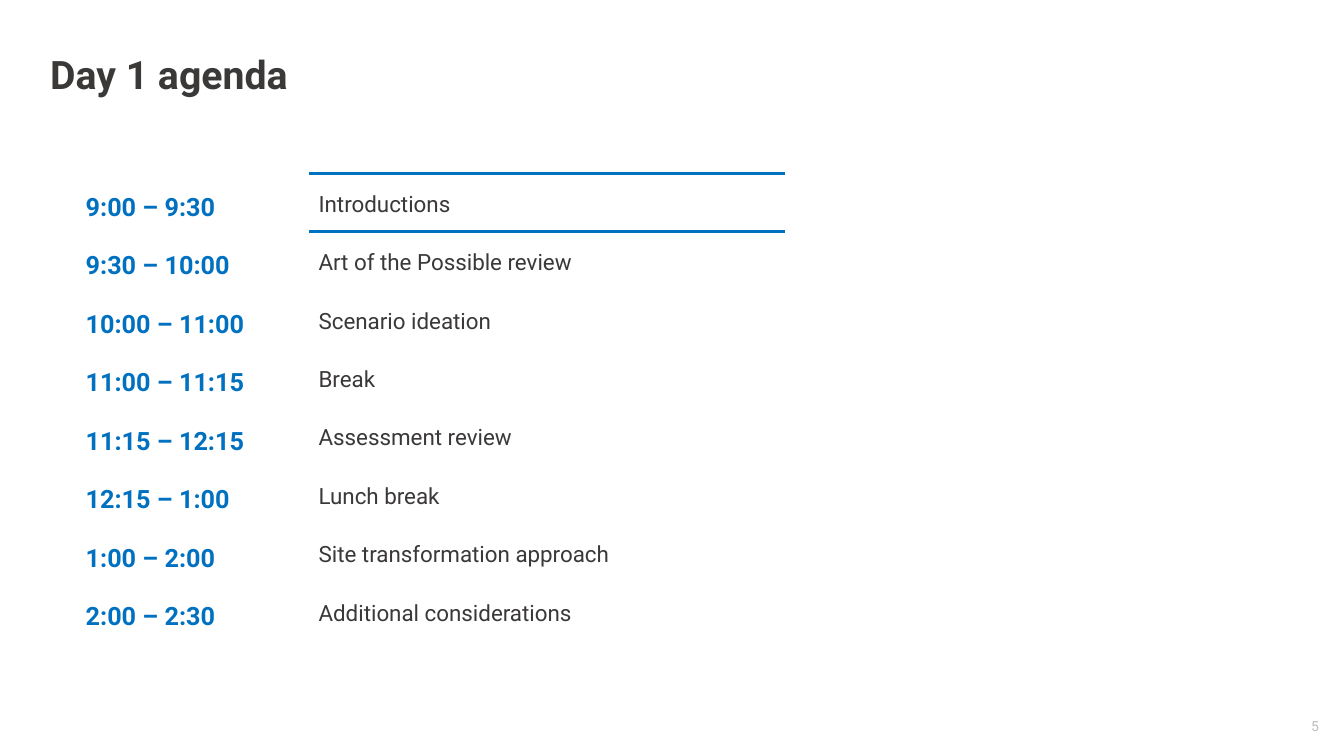
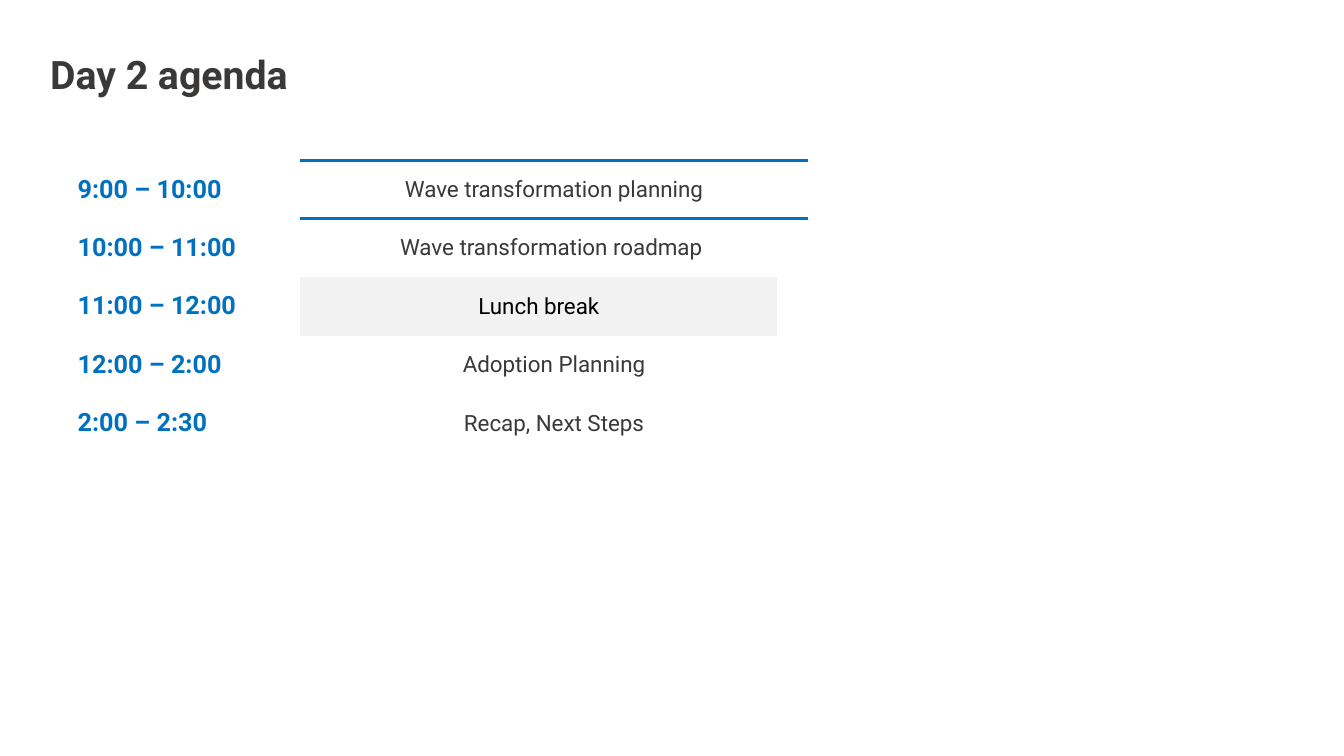
"""Build the two agenda slides of a two-day workshop."""
from lxml.etree import SubElement, fromstring
from pptx import Presentation
from pptx.dml.color import RGBColor
from pptx.enum.text import MSO_ANCHOR as ANCHOR, PP_ALIGN as ALIGN
from pptx.oxml.ns import nsdecls, qn
from pptx.util import Inches, Pt

BLUE, INK, BLACK, PALE, GREY = "0070C0", "3B3838", "000000", "F2F2F2", "BFBFBF"
FONT = "Roboto"
NO_STYLE = "{2D5ABB26-0587-4C30-8999-92F81FD0307C}"
COLS = (2.01, 0.3, 4.73, 0.3)
HEAD, ROW = 0.3, 0.58

DAYS = [
    dict(title="Day 1 agenda", number="5", left=0.75, top=1.42, spacing=1.5,
         anchor=ANCHOR.TOP, align=ALIGN.LEFT, merged=False, shaded=None, rows=[
             ("9:00 – 9:30", "Introductions"),
             ("9:30 – 10:00", "Art of the Possible review"),
             ("10:00 – 11:00", "Scenario ideation"),
             ("11:00 – 11:15", "Break"),
             ("11:15 – 12:15", "Assessment review"),
             ("12:15 – 1:00", "Lunch break"),
             ("1:00 – 2:00", "Site transformation approach"),
             ("2:00 – 2:30", "Additional considerations")]),
    dict(title="Day 2 agenda", number=None, left=0.67, top=1.29, spacing=1.0,
         anchor=ANCHOR.MIDDLE, align=ALIGN.CENTER, merged=True, shaded="Lunch break", rows=[
             ("9:00 – 10:00", "Wave transformation planning"),
             ("10:00 – 11:00", "Wave transformation roadmap "),
             ("11:00 – 12:00", "Lunch break"),
             ("12:00 – 2:00", "Adoption Planning"),
             ("2:00 – 2:30", "Recap, Next Steps")]),
]


def write(tf, text, size, color, bold=False, align=ALIGN.LEFT, spacing=1.0):
    tf.text = text
    tf.word_wrap = True
    p = tf.paragraphs[0]
    p.alignment, p.line_spacing = align, spacing
    f = p.runs[0].font
    f.name, f.size, f.bold = FONT, Pt(size), bold
    f.color.rgb = RGBColor.from_string(color)


def add_border(cell, side):
    cell._tc.get_or_add_tcPr().insert(0, fromstring(
        f'<a:{side} {nsdecls("a")} w="{Pt(2.25)}"><a:solidFill>'
        f'<a:srgbClr val="{BLUE}"/></a:solidFill></a:{side}>'))


prs = Presentation()
prs.slide_width, prs.slide_height = Inches(13.33), Inches(7.5)

for day in DAYS:
    s = prs.slides.add_slide(prs.slide_layouts[6])
    title = s.shapes.add_textbox(Inches(0.4), Inches(0.37), Inches(12.47), Inches(0.73))
    write(title.text_frame, day["title"], 28, INK, bold=True)
    title.text_frame.vertical_anchor = ANCHOR.MIDDLE
    if day["number"]:
        number = s.shapes.add_textbox(Inches(9.42), Inches(7.07), Inches(3.76), Inches(0.4))
        write(number.text_frame, day["number"], 10, GREY, align=ALIGN.RIGHT)

    rows = day["rows"]
    frame = s.shapes.add_table(
        len(rows) + 1, len(COLS), Inches(day["left"]), Inches(day["top"]),
        Inches(sum(COLS)), Inches(HEAD + ROW * len(rows)))
    table = frame.table
    table.first_row = table.horz_banding = False
    table._tbl.tblPr.find(qn("a:tableStyleId")).text = NO_STYLE
    for column, width in zip(table.columns, COLS):
        column.width = Inches(width)
    for i, row in enumerate(table.rows):
        row.height = Inches(ROW if i else HEAD)
    for cell in table.iter_cells():
        cell.fill.background()

    for i, (time, topic) in enumerate(rows, 1):
        shaded = topic == day["shaded"]
        hour, subject = table.cell(i, 0), table.cell(i, 2)
        write(hour.text_frame, time, 18, BLUE, bold=True, spacing=day["spacing"])
        write(subject.text_frame, topic, 16, BLACK if shaded else INK,
              align=day["align"], spacing=day["spacing"])
        hour.vertical_anchor = subject.vertical_anchor = day["anchor"]
        if shaded:
            subject.fill.solid()
            subject.fill.fore_color.rgb = RGBColor.from_string(PALE)
        elif day["merged"]:
            subject.merge(table.cell(i, 3))

    for cell in table.iter_cells():
        if not cell.text_frame.text:
            SubElement(cell.text_frame.paragraphs[0]._p, qn("a:endParaRPr"), sz="1000")
    add_border(table.cell(0, 2), "lnB")
    add_border(table.cell(1, 2), "lnT")

prs.save("out.pptx")
